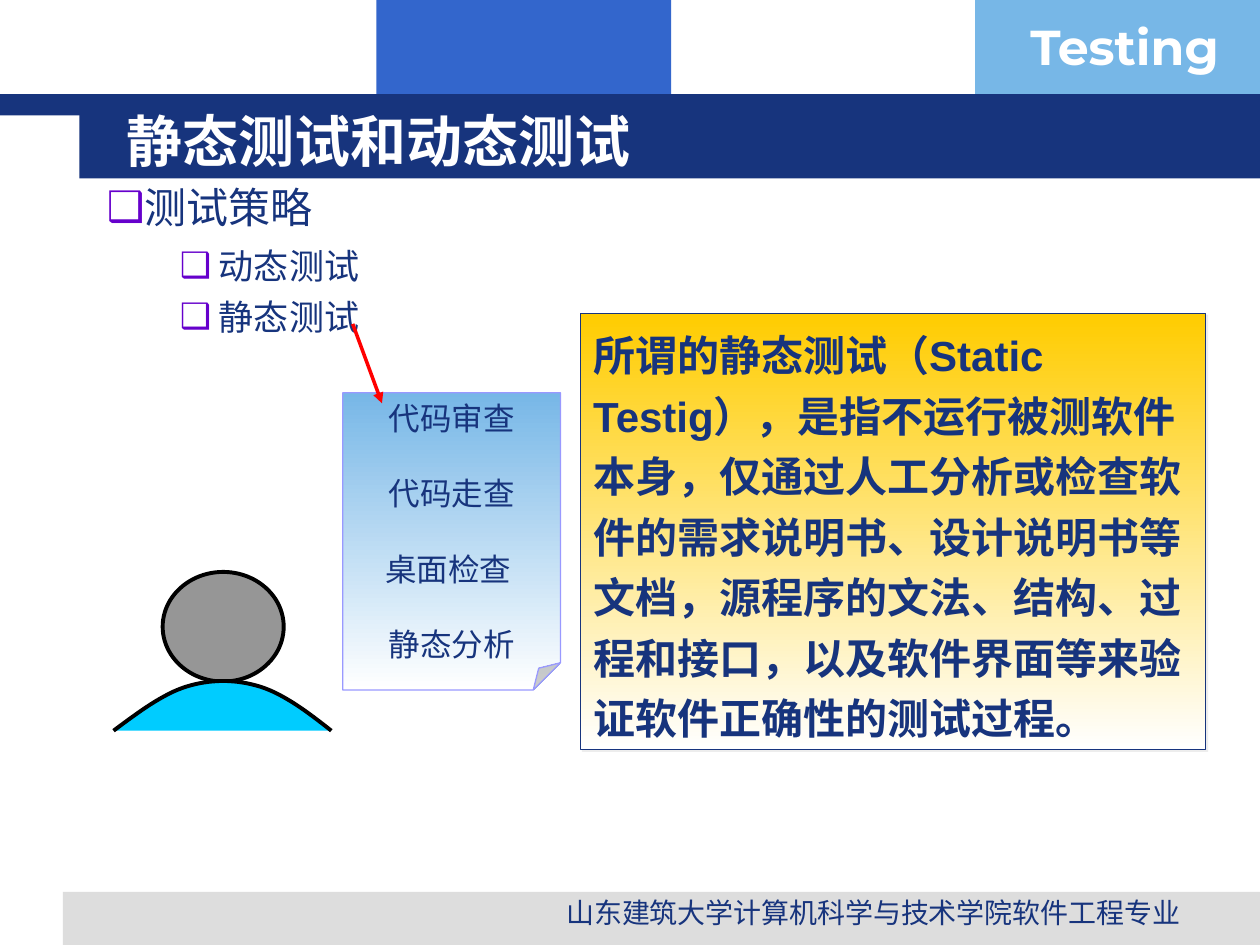
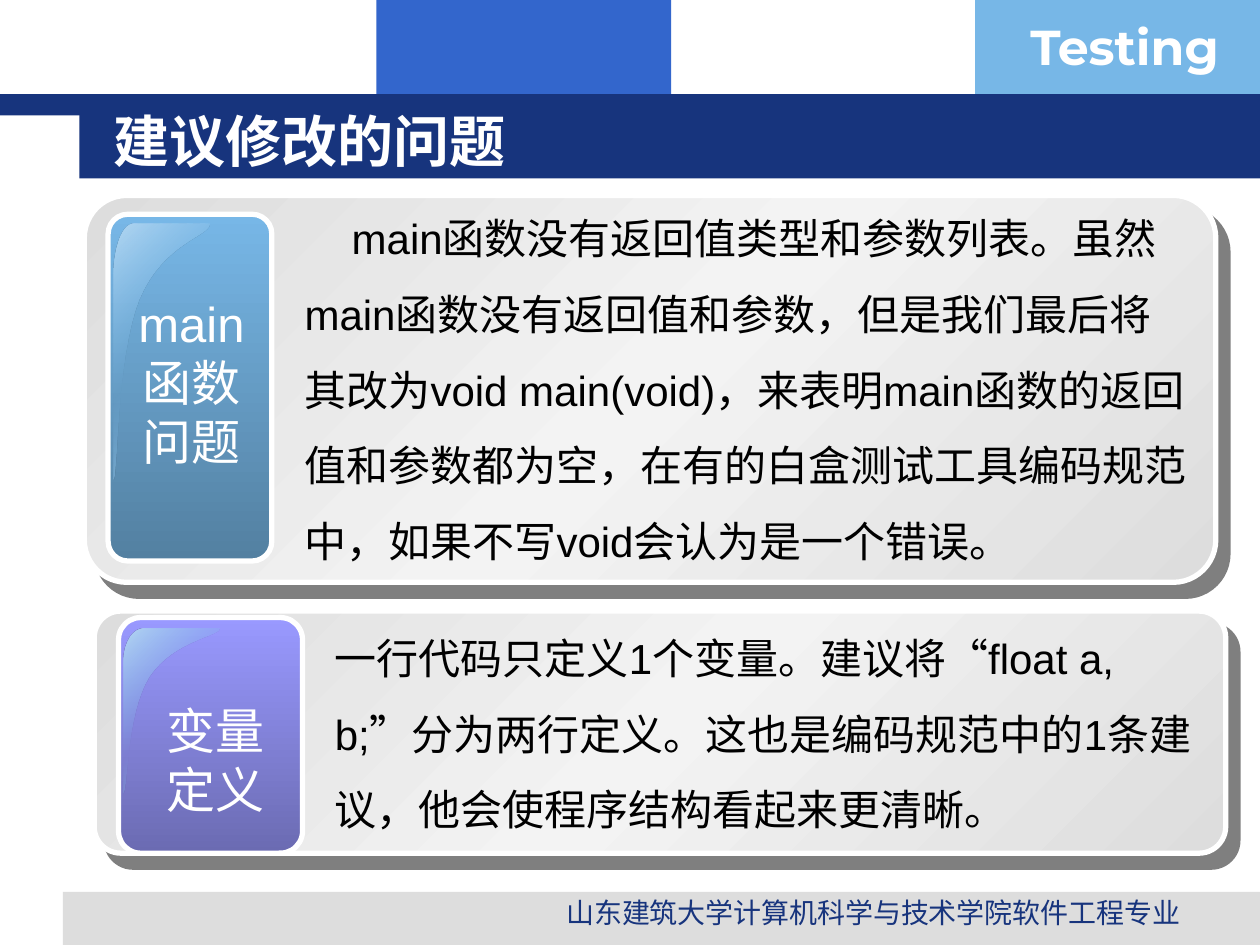
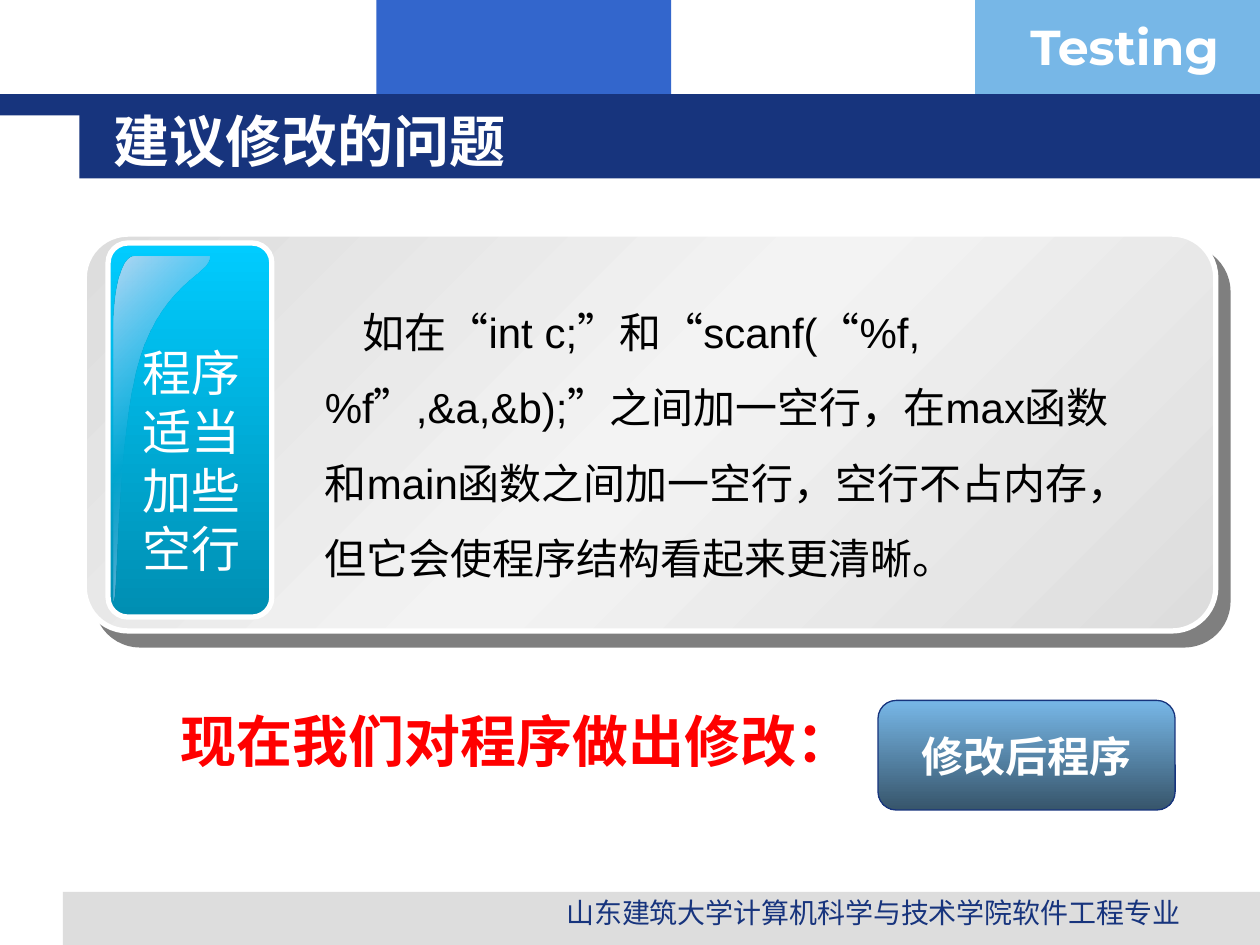
from dataclasses import dataclass
from typing import Optional

from lxml.etree import SubElement
from pptx import Presentation
from pptx.dml.color import RGBColor
from pptx.enum.shapes import MSO_CONNECTOR, MSO_SHAPE
from pptx.enum.text import MSO_ANCHOR, MSO_AUTO_SIZE, PP_ALIGN
from pptx.oxml.ns import qn
from pptx.util import Cm, Pt

COLORS = {
    "navy": "17347D", "blue": "3366CC", "sky": "77B7E7", "grey": "DDDDDD",
    "silver": "F3F3F3", "white": "FFFFFF", "black": "000000", "red": "FF0000",
    "purple": "6600CC", "lilac": "9999FF", "dark_lilac": "6B6BB2",
    "cyan": "00CCFF", "dark_cyan": "008EB2", "steel": "5380A1",
    "dark_steel": "37556B", "pale_sky": "B5D8F2", "gold": "FFCC00",
    "head": "969696",
}
FOOTER = "山东建筑大学计算机科学与技术学院软件工程专业"

Point = tuple[float, float]


@dataclass(frozen=True)
class Box:
    """Left, top, width and height in centimetres."""
    x: float
    y: float
    w: float
    h: float

    def emu(self) -> tuple:
        return Cm(self.x), Cm(self.y), Cm(self.w), Cm(self.h)


@dataclass(frozen=True)
class Style:
    size: float
    color: str = "navy"
    bold: bool = False
    font: str = "Arial"
    align: PP_ALIGN = PP_ALIGN.LEFT
    line: float = 1.0
    before: float = 0
    margin: float = 0
    indent: float = 0
    bullet: bool = False
    shadow: bool = False


@dataclass(frozen=True)
class Stop:
    pos: int
    color: str
    alpha: int = 100


@dataclass(frozen=True)
class Card:
    """Grey panel with a coloured tab, its label and a paragraph."""
    panel: Box
    tab: Box
    tab_colors: tuple[str, str]
    gloss_at: Point
    gloss_h: float
    label_box: Box
    label: tuple[str, ...]
    text_box: Box
    text: str
    indent: float = 0


BANDS = [
    (Box(7.59, 0, 5.94, 2.34), "blue"),
    (Box(19.66, 0, 5.74, 2.34), "sky"),
    (Box(1.27, 17.98, 24.13, 1.07), "grey"),
    (Box(0, 1.9, 25.4, 0.43), "navy"),
    (Box(1.6, 1.9, 23.8, 1.7), "navy"),
]
TITLE = Style(32, "white", True, "DejaVu Sans")
LABEL = Style(28, "white", align=PP_ALIGN.CENTER, shadow=True)
PANEL_STOPS = (Stop(0, "grey"), Stop(50, "silver"), Stop(100, "grey"))
GLOSS_STOPS = (Stop(0, "pale_sky"), Stop(50, "sky", 0), Stop(100, "pale_sky"))

MAIN_CARD = Card(
    Box(1.7, 3.94, 22.81, 7.8), Box(2.18, 4.32, 3.3, 6.99), ("sky", "steel"),
    (2.29, 4.52), 5.23, Box(2.54, 5.79, 2.64, 3.81), ("main", "函数", "问题"),
    Box(5.89, 3.66, 18.39, 7.87),
    "main函数没有返回值类型和参数列表。虽然main函数没有返回值和参数，但是我们最后将"
    "其改为void main(void)，来表明main函数的返回值和参数都为空，在有的白盒测试工具"
    "编码规范中，如果不写void会认为是一个错误。", 0.95)
VARIABLE_CARD = Card(
    Box(1.9, 12.32, 22.81, 4.88), Box(2.39, 12.45, 3.71, 4.75),
    ("lilac", "dark_lilac"), (2.49, 12.67), 3.35,
    Box(3.12, 14, 2.46, 2.64), ("变量", "定义"), Box(6.5, 12.12, 18.39, 4.83),
    "一行代码只定义1个变量。建议将“float a,b;”分为两行定义。这也是编码规范中的1条"
    "建议，他会使程序结构看起来更清晰。")
BLANK_LINE_CARD = Card(
    Box(1.7, 4.72, 22.81, 8), Box(2.18, 4.9, 3.3, 7.54), ("cyan", "dark_cyan"),
    (2.29, 5.18), 7.04, Box(2.62, 6.78, 2.49, 5),
    ("程序", "适当", "加些", "空行"), Box(6.3, 5.54, 16.99, 6.35),
    "如在“int c;”和“scanf(“%f,%f”,&a,&b);”之间加一空行，在max函数和main函数之间加"
    "一空行，空行不占内存，但它会使程序结构看起来更清晰。", 0.76)


def rgb(name: str) -> RGBColor:
    return RGBColor.from_string(COLORS[name])


def add_color(parent, name: str, alpha: int = 100) -> None:
    clr = SubElement(parent, qn("a:srgbClr"), val=COLORS[name])
    if alpha < 100:
        SubElement(clr, qn("a:alpha"), val=str(alpha * 1000))


def fill_gradient(sp, stops: tuple[Stop, ...], angle: int = 90) -> None:
    sp.fill.gradient()
    sp.fill.gradient_angle = 360 - angle
    stop_list = sp.element.spPr.find(qn("a:gradFill")).find(qn("a:gsLst"))
    for old in list(stop_list):
        stop_list.remove(old)
    for stop in stops:
        gs = SubElement(stop_list, qn("a:gs"), pos=str(stop.pos * 1000))
        add_color(gs, stop.color, stop.alpha)


def add_shadow(effects, color: str, alpha: int, dist: float, angle: int) -> None:
    shadow = SubElement(effects, qn("a:outerShdw"), blurRad="0",
                        dist=str(Pt(dist)), dir=str(angle * 60000),
                        algn="ctr", rotWithShape="0")
    add_color(shadow, color, alpha)


def shape_shadow(sp, color: str, dist: float, angle: int) -> None:
    add_shadow(sp.element.spPr.find(qn("a:effectLst")), color, 50, dist, angle)


def paint(sp, fill: Optional[str] = None, line: Optional[str] = None,
          width: float = 0.75) -> None:
    """Remove the theme shadow and set solid fill and outline."""
    sp.shadow.inherit = False
    if fill:
        sp.fill.solid()
        sp.fill.fore_color.rgb = rgb(fill)
    if line:
        sp.line.color.rgb = rgb(line)
        sp.line.width = Pt(width)
    else:
        sp.line.fill.background()


def add_shape(s, kind: MSO_SHAPE, box: Box, fill: Optional[str] = None,
              line: Optional[str] = None, width: float = 0.75):
    sp = s.shapes.add_shape(kind, *box.emu())
    paint(sp, fill, line, width)
    return sp


def fold_corner(sp, size: float) -> None:
    """Write the preset name and fold size, which the enum member gets wrong."""
    geometry = sp.element.spPr.find(qn("a:prstGeom"))
    geometry.set("prst", "foldedCorner")
    SubElement(geometry.find(qn("a:avLst")), qn("a:gd"), name="adj",
               fmla=f"val {round(size * 100000)}")


def format_paragraph(p, style: Style) -> None:
    p.alignment = style.align
    p.line_spacing = style.line
    p.space_before = Pt(style.before)
    pPr = p._p.get_or_add_pPr()
    pPr.set("marL", str(Cm(style.margin)))
    pPr.set("indent", str(Cm(style.indent)))
    if style.bullet:
        add_color(SubElement(pPr, qn("a:buClr")), "purple")
        SubElement(pPr, qn("a:buFont"), typeface="DejaVu Sans")
        SubElement(pPr, qn("a:buChar"), char="❑")
    else:
        SubElement(pPr, qn("a:buNone"))


def add_run(p, text: str, style: Style) -> None:
    r = p.add_run()
    r.text = text
    r.font.size = Pt(style.size)
    r.font.bold = style.bold
    r.font.name = style.font
    r.font.color.rgb = rgb(style.color)
    if style.shadow:
        rPr = r._r.get_or_add_rPr()
        effects = SubElement(rPr, qn("a:effectLst"))
        rPr.find(qn("a:solidFill")).addnext(effects)
        add_shadow(effects, "navy", 100, 1.5, 45)


def write(sp, lines: list[tuple[str, Style]],
          anchor: MSO_ANCHOR = MSO_ANCHOR.TOP, wrap: bool = True) -> None:
    """Fill a shape with one styled paragraph per line."""
    tf = sp.text_frame
    tf.word_wrap = wrap
    tf.auto_size = MSO_AUTO_SIZE.NONE
    tf.vertical_anchor = anchor
    for i, (text, style) in enumerate(lines):
        p = tf.paragraphs[0] if i == 0 else tf.add_paragraph()
        format_paragraph(p, style)
        add_run(p, text, style)


def add_text(s, box: Box, lines: list[tuple[str, Style]], wrap: bool = True):
    sp = s.shapes.add_textbox(*box.emu())
    write(sp, lines, wrap=wrap)
    return sp


def place(sp, box: Box) -> None:
    sp.left, sp.top, sp.width, sp.height = box.emu()


def curve(p0: Point, p1: Point, p2: Point, p3: Point, steps: int = 16) -> list[Point]:
    """Points of a cubic Bezier curve after its start."""
    points = []
    for i in range(1, steps + 1):
        t = i / steps
        weights = ((1 - t) ** 3, 3 * t * (1 - t) ** 2, 3 * t * t * (1 - t), t ** 3)
        x, y = (sum(w * c for w, c in zip(weights, axis))
                for axis in zip(p0, p1, p2, p3))
        points.append((x, y))
    return points


def add_outline(s, origin: Point, points: list[Point], close: bool):
    emu = [(Cm(origin[0] + x), Cm(origin[1] + y)) for x, y in points]
    builder = s.shapes.build_freeform(*emu[0])
    builder.add_line_segments(emu[1:], close=close)
    return builder.convert_to_shape()


def add_gloss(s, origin: Point, h: float) -> None:
    start, left, low = (0.41, 0), (0, 0.2 * h), (0, 0.985 * h)
    middle, end = (0.53, 0.29 * h), (1.93, 0)
    points = [start, *curve(start, (0.18, 0), (0, 0.09 * h), left), low,
              *curve(low, (0.1, h), (0.05, 0.515 * h), middle),
              *curve(middle, (1.02, 0.07 * h), (1.96, 0.05 * h), end)]
    sp = add_outline(s, origin, points, True)
    paint(sp)
    fill_gradient(sp, GLOSS_STOPS, 45)


def add_card(s, card: Card) -> None:
    panel = add_shape(s, MSO_SHAPE.ROUNDED_RECTANGLE, card.panel,
                      line="white", width=3)
    panel.adjustments[0] = 0.11
    fill_gradient(panel, PANEL_STOPS, 45)
    shape_shadow(panel, "black", 10.6, 49)
    tab = add_shape(s, MSO_SHAPE.ROUNDED_RECTANGLE, card.tab,
                    line="white", width=3)
    tab.adjustments[0] = 0.12
    top, bottom = card.tab_colors
    fill_gradient(tab, (Stop(0, top), Stop(100, bottom)))
    add_gloss(s, card.gloss_at, card.gloss_h)
    add_text(s, card.label_box, [(line, LABEL) for line in card.label], wrap=False)
    add_text(s, card.text_box,
             [(card.text, Style(24, "black", line=1.5, indent=card.indent))])


def add_person(s) -> None:
    add_shape(s, MSO_SHAPE.OVAL, Box(3.28, 11.53, 2.44, 2.21), "head", "black", 2.25)
    left, neck_l, neck_r, right = (0, 1.04), (1.47, 0.15), (2.95, 0.15), (4.39, 1.04)
    points = [left, *curve(left, (0.51, 0.66), (0.99, 0.3), neck_l),
              *curve(neck_l, (1.96, 0), (2.46, 0), neck_r),
              *curve(neck_r, (3.43, 0.3), (3.91, 0.66), right)]
    paint(add_outline(s, (2.29, 13.69), points, False), "cyan", "black", 2.25)


def add_arrow(s, start: Point, end: Point) -> None:
    line = s.shapes.add_connector(MSO_CONNECTOR.STRAIGHT,
                                  *(Cm(v) for v in start + end))
    line.line.color.rgb = rgb("red")
    line.line.width = Pt(2)
    spPr = line.element.spPr
    SubElement(spPr.find(qn("a:ln")), qn("a:tailEnd"), type="triangle")
    SubElement(spPr, qn("a:effectLst"))


def dress_master(prs, s) -> None:
    """Draw the shared bands on a slide and move them to the master."""
    shared = [add_shape(s, MSO_SHAPE.RECTANGLE, box, color) for box, color in BANDS]
    shared.append(add_text(s, Box(20.52, 0.2, 4.9, 1.45),
                           [("Testing", Style(28, "white", True, "Montserrat"))]))
    for number, sp in enumerate(shared, start=101):
        sp.element.nvSpPr.cNvPr.set("id", str(number))
        prs.slide_master.shapes.element.append(sp.element)


def new_slide(prs, layout: int, title: str):
    s = prs.slides.add_slide(prs.slide_layouts[layout])
    place(s.shapes.title, Box(2.03, 2.03, 21.67, 1.57))
    write(s.shapes.title, [(title, TITLE)], MSO_ANCHOR.MIDDLE)
    add_text(s, Box(10.31, 17.93, 14.6, 0.79),
             [(FOOTER, Style(16, align=PP_ALIGN.CENTER))])
    return s


def build_strategies(prs) -> None:
    s = new_slide(prs, 1, " 静态测试和动态测试")
    dress_master(prs, s)
    body = s.placeholders[1]
    place(body, Box(1.9, 3.53, 7.8, 3.4))
    sub = {"margin": 2.26, "indent": -0.79, "bullet": True}
    write(body, [("测试策略", Style(24, before=6, bullet=True)),
                 ("动态测试", Style(20, before=7.5, **sub)),
                 ("静态测试", Style(20, before=5, **sub))])
    add_person(s)

    definition = add_shape(s, MSO_SHAPE.RECTANGLE, Box(11.71, 6.32, 12.6, 8.79),
                           line="navy")
    fill_gradient(definition, (Stop(0, "gold"), Stop(100, "white")))
    shape_shadow(definition, "grey", 1.4, 45)
    write(definition, [(
        "所谓的静态测试（Static Testig），是指不运行被测软件本身，仅通过人工分析或检查"
        "软件的需求说明书、设计说明书等文档，源程序的文法、结构、过程和接口，以及软件界面"
        "等来验证软件正确性的测试过程。", Style(24, bold=True, line=1.2, before=5))])

    note = add_shape(s, MSO_SHAPE.FOLDED_CORNER, Box(6.91, 7.92, 4.39, 5.99),
                     line="lilac")
    fold_corner(note, 0.125)
    fill_gradient(note, (Stop(0, "sky"), Stop(100, "white")))
    methods = ("代码审查", "代码走查", "桌面检查 ", "静态分析")
    write(note, [(method, Style(18, align=PP_ALIGN.CENTER, before=21.5 if i else 0))
                 for i, method in enumerate(methods)])
    add_arrow(s, (7.11, 6.53), (7.7, 8.13))


def build_issues(prs) -> None:
    s = new_slide(prs, 5, "建议修改的问题")
    for card in (MAIN_CARD, VARIABLE_CARD):
        add_card(s, card)


def build_revision(prs) -> None:
    s = new_slide(prs, 1, "建议修改的问题")
    add_card(s, BLANK_LINE_CARD)
    body = s.placeholders[1]
    place(body, Box(2.11, 14.12, 20.6, 2.21))
    write(body, [("现在我们对程序做出修改：",
                  Style(32, "red", True, before=8, margin=1.27))])
    button = add_shape(s, MSO_SHAPE.ROUNDED_RECTANGLE, Box(17.7, 14.12, 5.99, 2.21),
                       line="navy")
    fill_gradient(button, (Stop(0, "sky"), Stop(100, "dark_steel")))
    write(button, [("修改后程序", Style(24, "white", True, align=PP_ALIGN.CENTER))],
          MSO_ANCHOR.MIDDLE, wrap=False)


def main() -> None:
    prs = Presentation()
    prs.slide_width, prs.slide_height = Cm(25.4), Cm(19.05)
    build_strategies(prs)
    build_issues(prs)
    build_revision(prs)
    prs.save("out.pptx")


if __name__ == "__main__":
    main()
